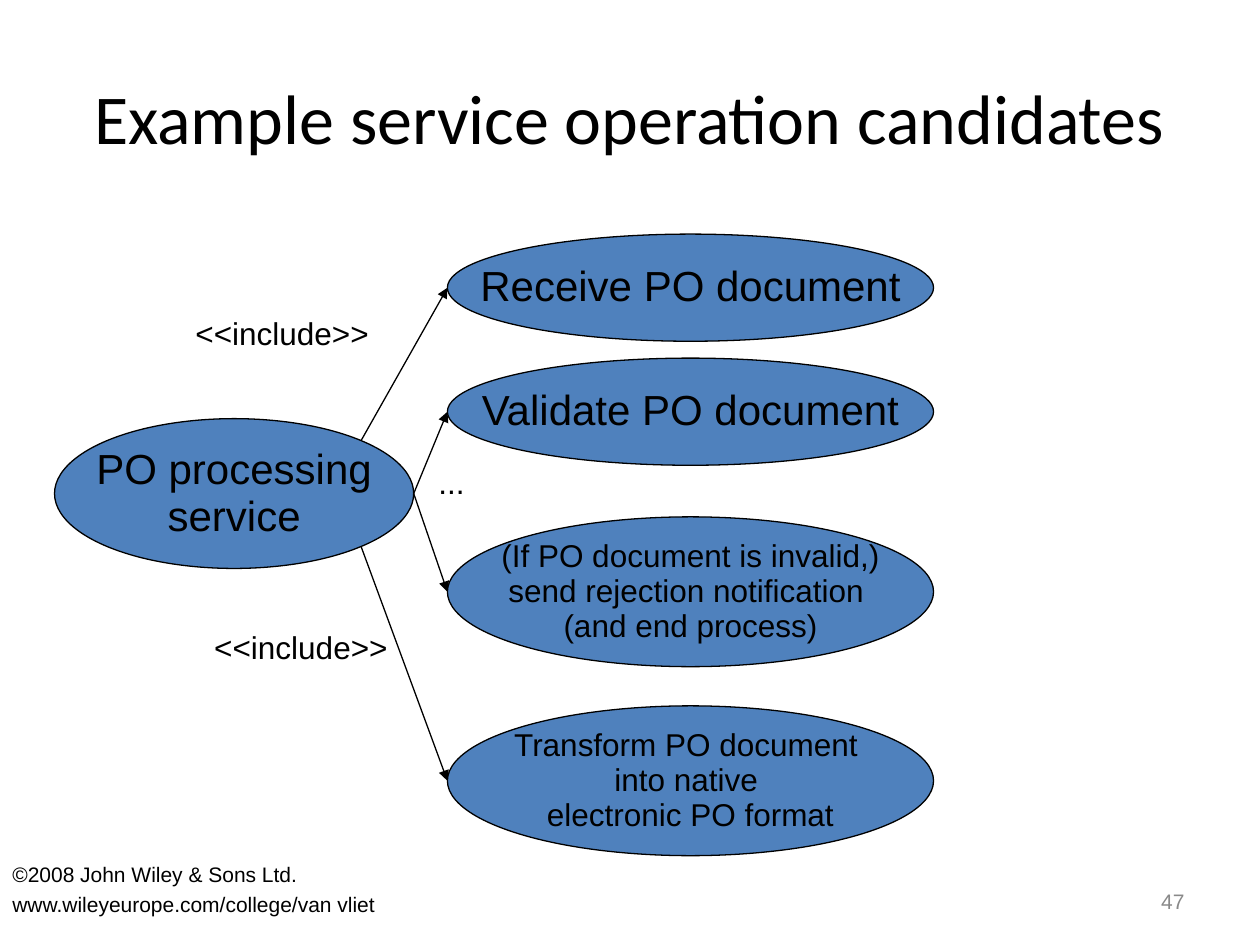
from dataclasses import dataclass
from math import sqrt

from lxml import etree
from pptx import Presentation
from pptx.dml.color import RGBColor as RGB
from pptx.enum.shapes import MSO_CONNECTOR, MSO_SHAPE
from pptx.enum.text import MSO_ANCHOR as Anchor, PP_ALIGN as Align
from pptx.oxml.ns import qn
from pptx.util import Cm, Pt

COLORS = {"text": "000000", "oval": "4F81BD", "line": "000000", "number": "898989"}


@dataclass
class Oval:
    left: float
    top: float
    width: float
    height: float
    lines: list[str]
    size: int

    def point(self, dx: float, dy: float) -> tuple[float, float]:
        """Point at the given fraction of each radius from the centre."""
        return (self.left + self.width / 2 * (1 + dx),
                self.top + self.height / 2 * (1 + dy))


def color(name: str) -> RGB:
    return RGB.from_string(COLORS[name])


def write(sp, lines: list[str], *, size: int, font: str = "Arial",
          fill: str = "text", align=Align.LEFT, anchor=Anchor.TOP,
          wrap: bool = False, spacing: float = 1.0, before: int = 0,
          margins: tuple[float, float] = (0.25, 0.13)) -> None:
    tf = sp.text_frame
    tf.word_wrap = wrap
    tf.vertical_anchor = anchor
    tf.margin_left = tf.margin_right = Cm(margins[0])
    tf.margin_top = tf.margin_bottom = Cm(margins[1])
    for i, line in enumerate(lines):
        p = tf.add_paragraph() if i else tf.paragraphs[0]
        p.alignment = align
        p.line_spacing = spacing
        if i and before:
            p.space_before = Pt(before)
        r = p.add_run()
        r.text = line
        r.font.size = Pt(size)
        r.font.name = font
        r.font.color.rgb = color(fill)


def add_text(s, left: float, top: float, width: float, height: float,
             lines: list[str], **fmt) -> None:
    sp = s.shapes.add_textbox(Cm(left), Cm(top), Cm(width), Cm(height))
    write(sp, lines, **fmt)


def add_oval(s, o: Oval) -> None:
    sp = s.shapes.add_shape(MSO_SHAPE.OVAL, Cm(o.left), Cm(o.top),
                            Cm(o.width), Cm(o.height))
    sp.shadow.inherit = False
    sp.fill.solid()
    sp.fill.fore_color.rgb = color("oval")
    sp.line.color.rgb = color("line")
    sp.line.width = Pt(0.75)
    write(sp, o.lines, size=o.size, align=Align.CENTER,
          anchor=Anchor.MIDDLE, spacing=0.93)


def add_arrow(s, start: tuple[float, float], end: tuple[float, float]) -> None:
    ends = [Cm(v) for v in (*start, *end)]
    c = s.shapes.add_connector(MSO_CONNECTOR.STRAIGHT, *ends)
    c.line.color.rgb = color("line")
    c.line.width = Pt(0.75)
    etree.SubElement(c.line._get_or_add_ln(), qn("a:tailEnd"), type="triangle")
    etree.SubElement(c._element.spPr, qn("a:effectLst"))


def main() -> None:
    prs = Presentation()
    prs.slide_width, prs.slide_height = Cm(25.4), Cm(19.05)
    s = prs.slides.add_slide(prs.slide_layouts[6])

    # Title and page number
    add_text(s, 1.27, 0.61, 22.83, 3.48, ["Example service operation candidates"],
             size=40, font="Calibri", align=Align.CENTER, anchor=Anchor.MIDDLE,
             wrap=True, margins=(0, 0))
    add_text(s, 18.21, 17.65, 5.92, 1.02, ["47"], size=12, fill="number",
             align=Align.RIGHT, anchor=Anchor.MIDDLE, wrap=True)

    # Service and its operations
    service = Oval(1.1, 8.44, 7.24, 3.02, ["PO processing", "service"], 24)
    left, width, low, high = 9.02, 9.8, 2.16, 3.02
    operations = [
        Oval(left, 4.72, width, low, ["Receive PO document"], 24),
        Oval(left, 7.22, width, low, ["Validate PO document"], 24),
        Oval(left, 10.42, width, high,
             ["(If PO document is invalid,)", "send rejection notification ",
              "(and end process)"], 18),
        Oval(left, 14.23, width, high,
             ["Transform PO document ", "into native ", "electronic PO format"], 18),
    ]
    for o in [service, *operations]:
        add_oval(s, o)

    # Arrows leave the service's right side and its two right diagonals
    diag = sqrt(0.5)
    exits = [(diag, -diag), (1, 0), (1, 0), (diag, diag)]
    for leave, o in zip(exits, operations):
        add_arrow(s, service.point(*leave), o.point(-1, 0))

    # Labels, each wide enough for its text on one line
    for x, y, w, label in [(3.69, 6.5, 4.15, "<<include>>"),
                           (4.07, 12.83, 4.15, "<<include>>"),
                           (8.59, 9.51, 1.1, "...")]:
        add_text(s, x, y, w, 0.97, [label], size=18, spacing=0.54, wrap=True)

    # Copyright
    add_text(s, 0, 17.23, 16.71, 1.83,
             ["©2008 John Wiley & Sons Ltd.", "www.wileyeurope.com/college/van vliet"],
             size=12, wrap=True, before=3)

    prs.save("out.pptx")


if __name__ == "__main__":
    main()
